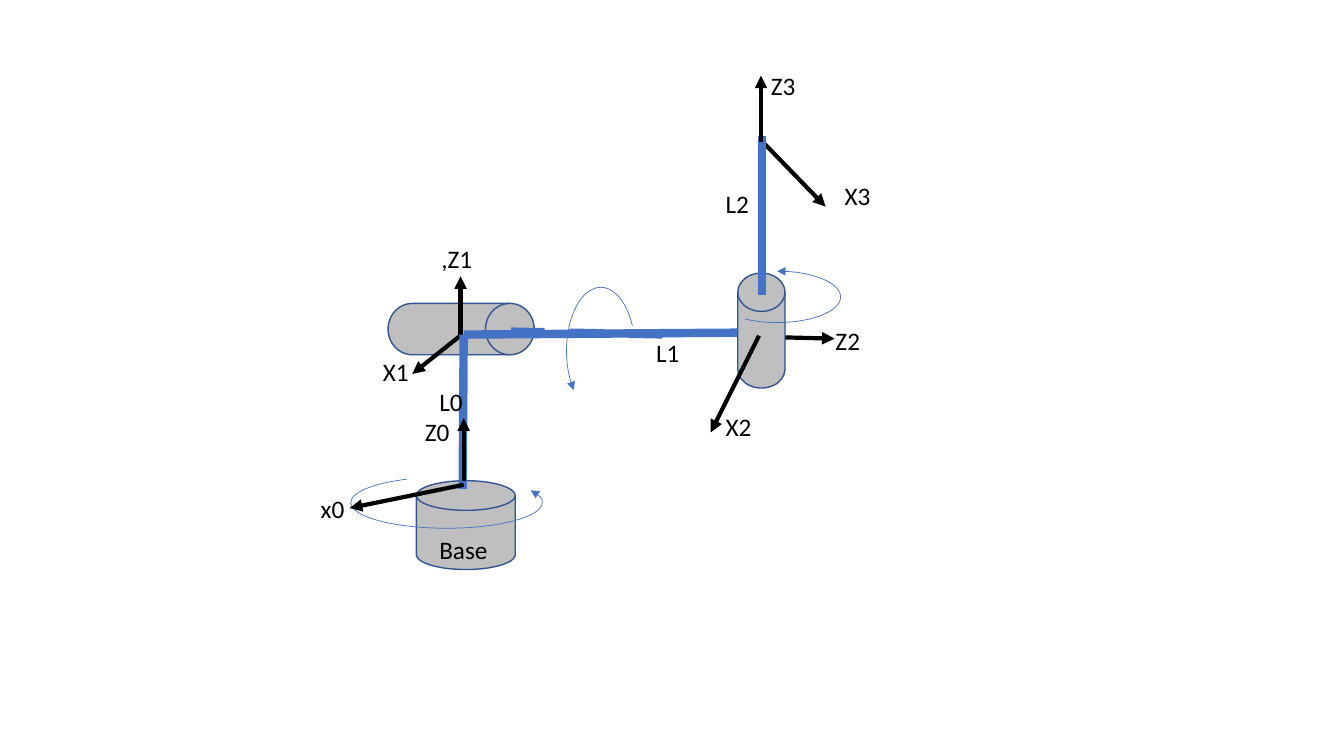
import collections

import pptx
import pptx.dml.color
import pptx.enum.dml
import pptx.enum.shapes
import pptx.enum.text
import pptx.oxml.ns
import pptx.util
from lxml import etree

Pt = pptx.util.Pt
SHAPE = pptx.enum.shapes.MSO_SHAPE
BLACK = pptx.dml.color.RGBColor(0x00, 0x00, 0x00)
BLUE = pptx.dml.color.RGBColor(0x44, 0x72, 0xC4)
OUTLINE = pptx.dml.color.RGBColor(0x32, 0x54, 0x91)
GREY = pptx.dml.color.RGBColor(0xBF, 0xBF, 0xBF)
FONT = "Calibri"

Box = collections.namedtuple("Box", "left top width height")


def add_arrowhead(line, end):
    head = etree.SubElement(line._get_or_add_ln(), pptx.oxml.ns.qn("a:" + end))
    head.set("type", "triangle")


def add_line(page, box, start, stop, color, width):
    connector = page.shapes.add_connector(
        pptx.enum.shapes.MSO_CONNECTOR.STRAIGHT,
        Pt(box.left + start[0]), Pt(box.top + start[1]),
        Pt(box.left + stop[0]), Pt(box.top + stop[1]))
    connector.line.color.rgb = color
    connector.line.width = Pt(width)
    etree.SubElement(connector._element.spPr, pptx.oxml.ns.qn("a:effectLst"))
    return connector


def add_link(page, box, start, stop):
    return add_line(page, box, start, stop, BLUE, 6)


def add_axis(page, box, start, stop):
    axis = add_line(page, box, start, stop, BLACK, 3)
    add_arrowhead(axis.line, "tailEnd")


def add_outline_shape(page, box, kind, left, top, width, height):
    shape = page.shapes.add_shape(
        kind, Pt(box.left + left), Pt(box.top + top), Pt(width), Pt(height))
    shape.shadow.inherit = False
    return shape


def add_joint(page, box, kind, left, top, width, height):
    joint = add_outline_shape(page, box, kind, left, top, width, height)
    joint.fill.solid()
    joint.fill.fore_color.rgb = GREY
    joint.line.color.rgb = OUTLINE
    joint.line.width = Pt(1)


def add_rotation(page, box, left, top, width, height, angles, end):
    arc = add_outline_shape(page, box, SHAPE.ARC, left, top, width, height)
    arc.adjustments[0], arc.adjustments[1] = angles
    arc.fill.background()
    arc.line.color.rgb = BLUE
    arc.line.width = Pt(0.5)
    add_arrowhead(arc.line, end)
    return arc


def add_label(page, box, text, left, top, width=34):
    label = page.shapes.add_textbox(
        Pt(box.left + left), Pt(box.top + top), Pt(width), Pt(29))
    frame = label.text_frame
    frame.word_wrap = True
    frame.auto_size = pptx.enum.text.MSO_AUTO_SIZE.SHAPE_TO_FIT_TEXT
    span = frame.paragraphs[0].add_run()
    span.text = text
    span.font.name = FONT
    span.font.size = Pt(18)
    span.font.color.rgb = BLACK


def draw_shoulder(page, box):
    add_joint(page, box, SHAPE.FLOWCHART_DIRECT_ACCESS_STORAGE, 11.2, 46.7, 104.4, 36.7)
    add_link(page, box, (65.2, 69), (262.5, 67.6))
    dashed = add_link(page, box, (99, 66.9), (215, 69))
    dashed.line.dash_style = pptx.enum.dml.MSO_LINE.DASH
    arc = add_rotation(page, box, 117.8, 56.1, 90.7, 49, (184.96, 87.32), "tailEnd")
    arc.rotation = 270
    arc._element.spPr.xfrm.set("flipV", "1")
    add_axis(page, box, (63.8, 69), (28.5, 97.1))
    add_axis(page, box, (63, 71.9), (63, 27.3))
    add_label(page, box, "X1", 0.4, 81.3)
    add_label(page, box, ",Z1", 42.2, 0.6, 47)
    add_label(page, box, "L1", 195.5, 67.6)


def draw_base(page, box):
    add_joint(page, box, SHAPE.FLOWCHART_MAGNETIC_DISK, 75.4, 104.4, 70.6, 63.4)
    add_link(page, box, (108.5, 110.2), (109.2, 0))
    add_label(page, box, "Base", 84.7, 139, 111)
    add_rotation(page, box, 28.6, 101.6, 136.8, 36.7, (211.04, 126.25), "headEnd")
    add_axis(page, box, (109.2, 104.4), (109.2, 59.8))
    add_axis(page, box, (109.2, 107.3), (27.8, 123.9))
    add_label(page, box, "L0", 84.7, 33.2)
    add_label(page, box, "Z0", 74.4, 54.8)
    add_label(page, box, "x0", 0, 109.5)


def draw_wrist(page, box):
    add_axis(page, box, (35, 143.5), (91.2, 144.9))
    add_joint(page, box, SHAPE.FLOWCHART_MAGNETIC_DISK, 22, 98.1, 33.8, 82.1)
    add_axis(page, box, (37.2, 142.8), (2.6, 211.9))
    add_rotation(page, box, 4.8, 96.7, 90.7, 36.7, (162, 87.32), "headEnd")
    add_label(page, box, "Z2", 84.7, 132)
    add_label(page, box, "X2", 6.2, 193.2)


def draw_tool_arm(page, box):
    add_axis(page, box, (31.9, 52.4), (78.7, 100.6))
    add_link(page, box, (33.3, 164), (33.3, 50.2))
    add_axis(page, box, (32.6, 54.5), (32.6, 7))
    add_label(page, box, "L2", 0.2, 84)
    add_label(page, box, "X3", 85.2, 78.3)
    add_label(page, box, "Z3", 32.6, 0)


def main():
    deck = pptx.Presentation()
    deck.slide_width = Pt(960)
    deck.slide_height = Pt(540)
    page = deck.slides.add_slide(deck.slide_layouts[6])
    draw_shoulder(page, Box(266, 170, 264, 111))
    draw_base(page, Box(222, 239, 196, 168))
    draw_wrist(page, Box(505, 97, 119, 222))
    draw_tool_arm(page, Box(511, 47, 119, 164))
    deck.save("out.pptx")


if __name__ == "__main__":
    main()
